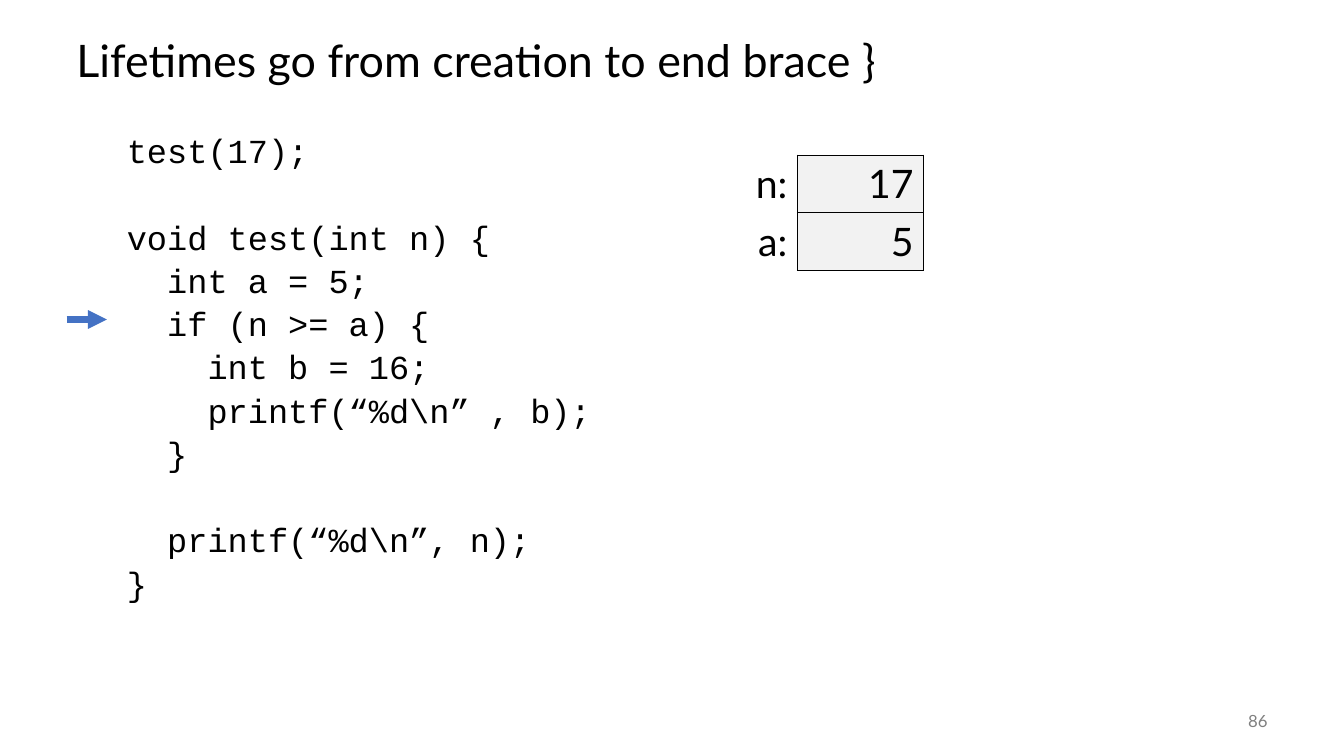
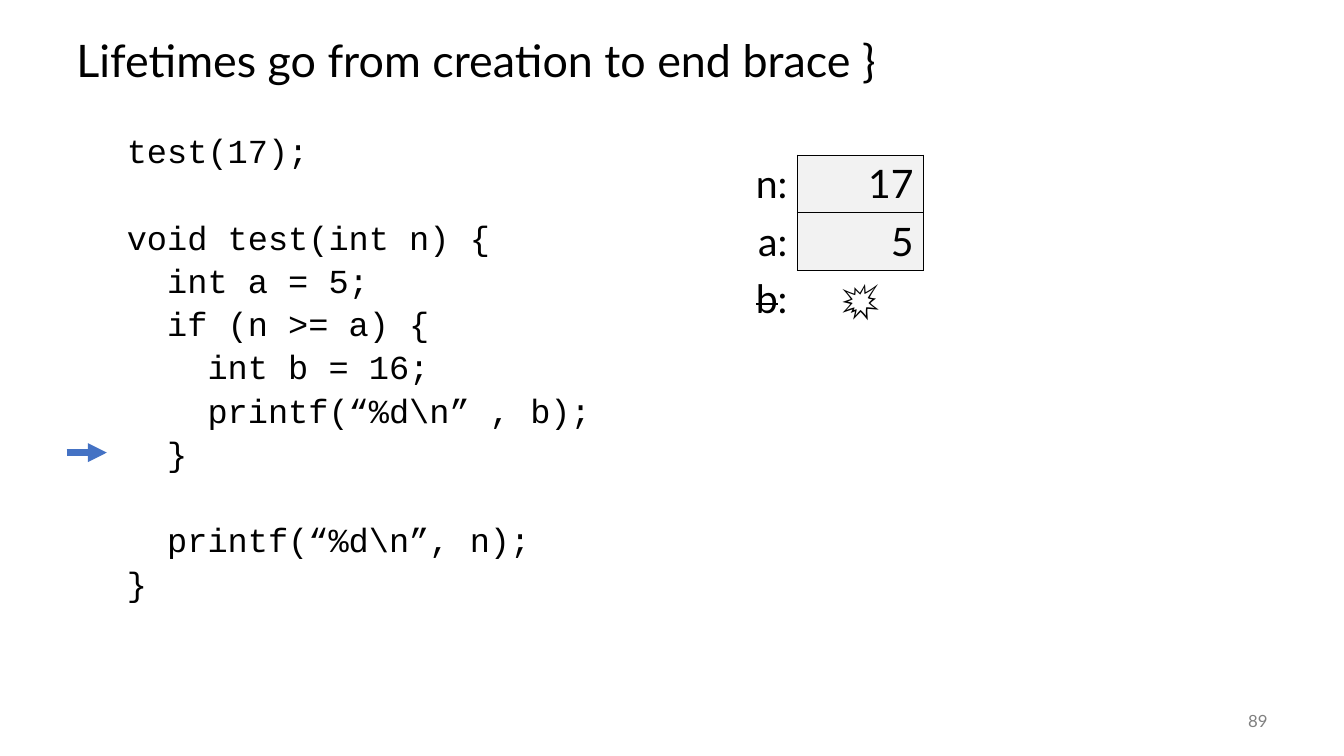
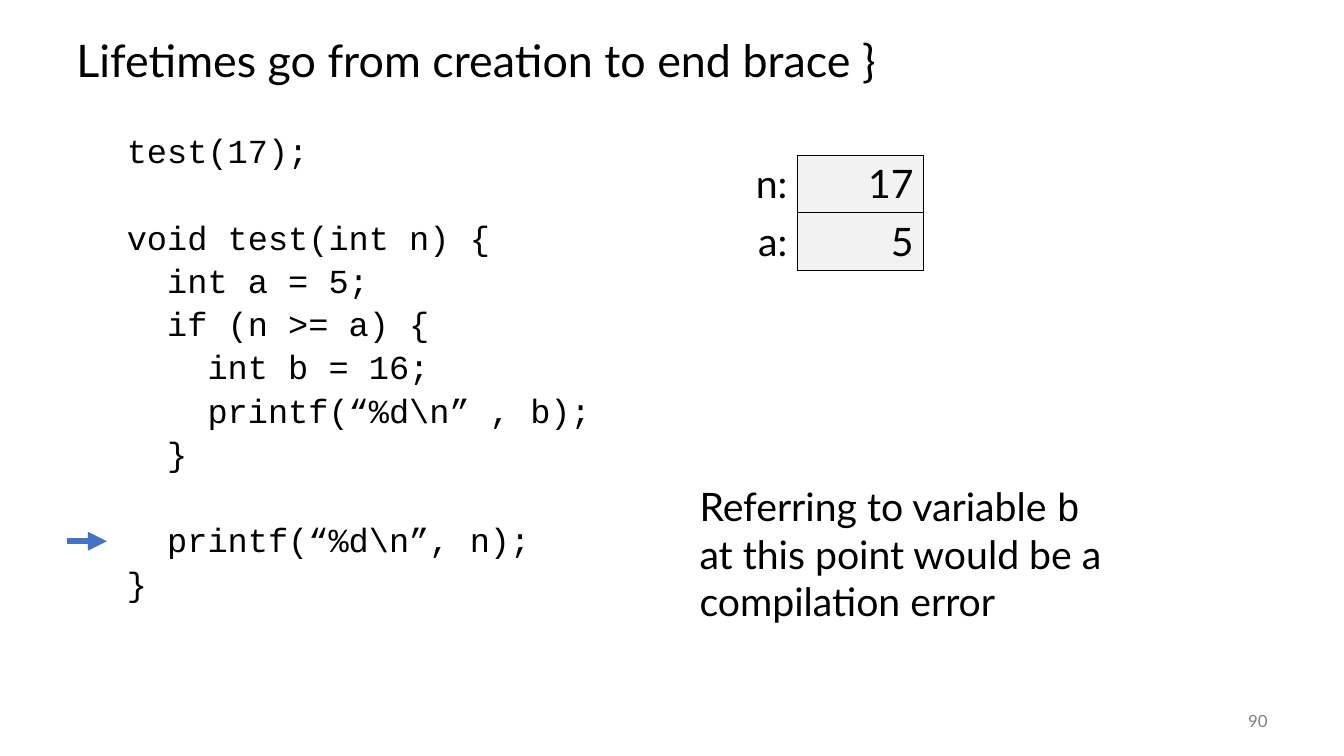
from pptx import Presentation
from pptx.dml.color import RGBColor
from pptx.enum.shapes import MSO_CONNECTOR as Connector
from pptx.enum.text import MSO_ANCHOR as Anchor, PP_ALIGN as Align
from pptx.oxml.ns import qn
from pptx.util import Inches, Pt
from lxml.etree import SubElement

BLACK = RGBColor(0x00, 0x00, 0x00)
GRAY = RGBColor(0x80, 0x80, 0x80)
CELL_GRAY = RGBColor(0xF2, 0xF2, 0xF2)
BLUE = RGBColor(0x44, 0x72, 0xC4)
BODY_FONT = "Lato"
CODE_FONT = "Courier New"
NO_TABLE_STYLE = "{2D5ABB26-0587-4C30-8999-92F81FD0307C}"

TITLE = "Lifetimes go from creation to end brace }"
TITLE_BOX = (0.66, 0.25, 12, 0.75)
CODE_BOX = (0.66, 1.25, 12, 5.5)
NUMBER_BOX = (11.67, 6.95, 1, 0.4)
NOTE_BOX = (6.84, 4.74, 4.23, 1.51)
TABLE_ORIGIN = (6.66, 1.54)
COLUMN_WIDTH = 1.25
ROW_HEIGHT = 0.57

CODE_LINE = 25.9
CODE_GAP = 5
ARROW_LENGTH = 0.4
ARROW_OFFSET = 0.16
ARROW_STEP = 0.44

CODE = """test(17);

void test(int n) {
  int a = 5;
  if (n >= a) {
    int b = 16;
    printf(“%d\\n” , b);
  }

  printf(“%d\\n”, n);
}""".split("\n")

LIVE_VARIABLES = [("n", "17"), ("a", "5")]
NOTE = [
    ("Referring to variable ", BODY_FONT),
    ("b", CODE_FONT),
    (" at this point would be a compilation error", BODY_FONT),
]


def add_run(paragraph, text, size, color=BLACK, font=BODY_FONT):
    run = paragraph.add_run()
    run.text = text
    run.font.size = Pt(size)
    run.font.name = font
    run.font.color.rgb = color
    return run


def add_text_box(slide, box, anchor=Anchor.TOP):
    shape = slide.shapes.add_textbox(*(Inches(length) for length in box))
    frame = shape.text_frame
    frame.word_wrap = True
    frame.vertical_anchor = anchor
    return frame


def add_title(slide, box):
    paragraph = add_text_box(slide, box, Anchor.MIDDLE).paragraphs[0]
    paragraph.line_spacing = 0.9
    add_run(paragraph, TITLE, 32)


def add_slide_number(slide, box, number):
    paragraph = add_text_box(slide, box, Anchor.MIDDLE).paragraphs[0]
    paragraph.alignment = Align.RIGHT
    add_run(paragraph, str(number), 12, GRAY)


def add_code(slide, box):
    frame = add_text_box(slide, box)
    frame.margin_top = Inches(0.08)
    paragraph = frame.paragraphs[0]
    space_before = 0
    for index, line in enumerate(CODE):
        if not line:
            space_before += CODE_LINE + CODE_GAP
            continue
        if index:
            paragraph = frame.add_paragraph()
        paragraph._p.get_or_add_pPr().set("marL", str(Inches(0.5)))
        paragraph.line_spacing = Pt(CODE_LINE)
        paragraph.space_before = Pt(space_before)
        add_run(paragraph, line, 24, font=CODE_FONT)
        space_before = CODE_GAP


def add_line_arrow(slide, box, line_index):
    left, top = box[:2]
    y = Inches(top + ARROW_OFFSET + ARROW_STEP * line_index)
    arrow = slide.shapes.add_connector(
        Connector.STRAIGHT, Inches(left), y, Inches(left + ARROW_LENGTH), y)
    arrow.line.color.rgb = BLUE
    arrow.line.width = Pt(4.5)
    SubElement(arrow.line._get_or_add_ln(), qn("a:tailEnd"), type="triangle")
    SubElement(arrow._element.spPr, qn("a:effectLst"))


def add_borders(cell, sides):
    properties = cell._tc.get_or_add_tcPr()
    for position, side in enumerate(sides):
        line = properties.makeelement(qn(f"a:ln{side}"), {"w": str(Pt(1))})
        fill = SubElement(line, qn("a:solidFill"))
        SubElement(fill, qn("a:srgbClr"), val=str(BLACK))
        properties.insert(position, line)


def add_variable_table(slide, origin, ended_variable):
    rows = len(LIVE_VARIABLES) + bool(ended_variable)
    left, top = origin
    table = slide.shapes.add_table(
        rows, 2, Inches(left), Inches(top),
        Inches(2 * COLUMN_WIDTH), Inches(rows * ROW_HEIGHT)).table
    table.first_row = table.horz_banding = False
    table._tbl.tblPr.find(qn("a:tableStyleId")).text = NO_TABLE_STYLE
    for row in table.rows:
        row.height = Inches(ROW_HEIGHT)
        for cell in row.cells:
            cell.fill.background()
            cell.text_frame.paragraphs[0].alignment = Align.RIGHT

    for index, (name, value) in enumerate(LIVE_VARIABLES):
        label, content = table.rows[index].cells
        add_run(label.text_frame.paragraphs[0], f"{name}:", 28)
        add_run(content.text_frame.paragraphs[0], value, 28)
        content.fill.solid()
        content.fill.fore_color.rgb = CELL_GRAY
        add_borders(label, "R")
        add_borders(content, "LRTB")

    if ended_variable:
        label, content = table.rows[rows - 1].cells
        name = add_run(label.text_frame.paragraphs[0], ended_variable, 28)
        name.font._element.set("strike", "sngStrike")
        add_run(label.text_frame.paragraphs[0], ":", 28)
        paragraph = content.text_frame.paragraphs[0]
        paragraph.alignment = Align.CENTER
        add_run(paragraph, "💥", 28)
        add_borders(content, "T")


def add_note(slide, box):
    paragraph = add_text_box(slide, box).paragraphs[0]
    for text, font in NOTE:
        add_run(paragraph, text, 28, font=font)


def add_lifetime_slide(presentation, number, current_line, ended_variable=None):
    slide = presentation.slides.add_slide(presentation.slide_layouts[6])
    add_title(slide, TITLE_BOX)
    add_code(slide, CODE_BOX)
    add_slide_number(slide, NUMBER_BOX, number)
    add_variable_table(slide, TABLE_ORIGIN, ended_variable)
    add_line_arrow(slide, CODE_BOX, current_line)
    return slide


def main():
    presentation = Presentation()
    presentation.slide_width = Inches(13.33)
    presentation.slide_height = Inches(7.5)
    add_lifetime_slide(presentation, 86, 4)
    add_lifetime_slide(presentation, 89, 7, ended_variable="b")
    final_slide = add_lifetime_slide(presentation, 90, 9)
    add_note(final_slide, NOTE_BOX)
    presentation.save("out.pptx")


if __name__ == "__main__":
    main()
